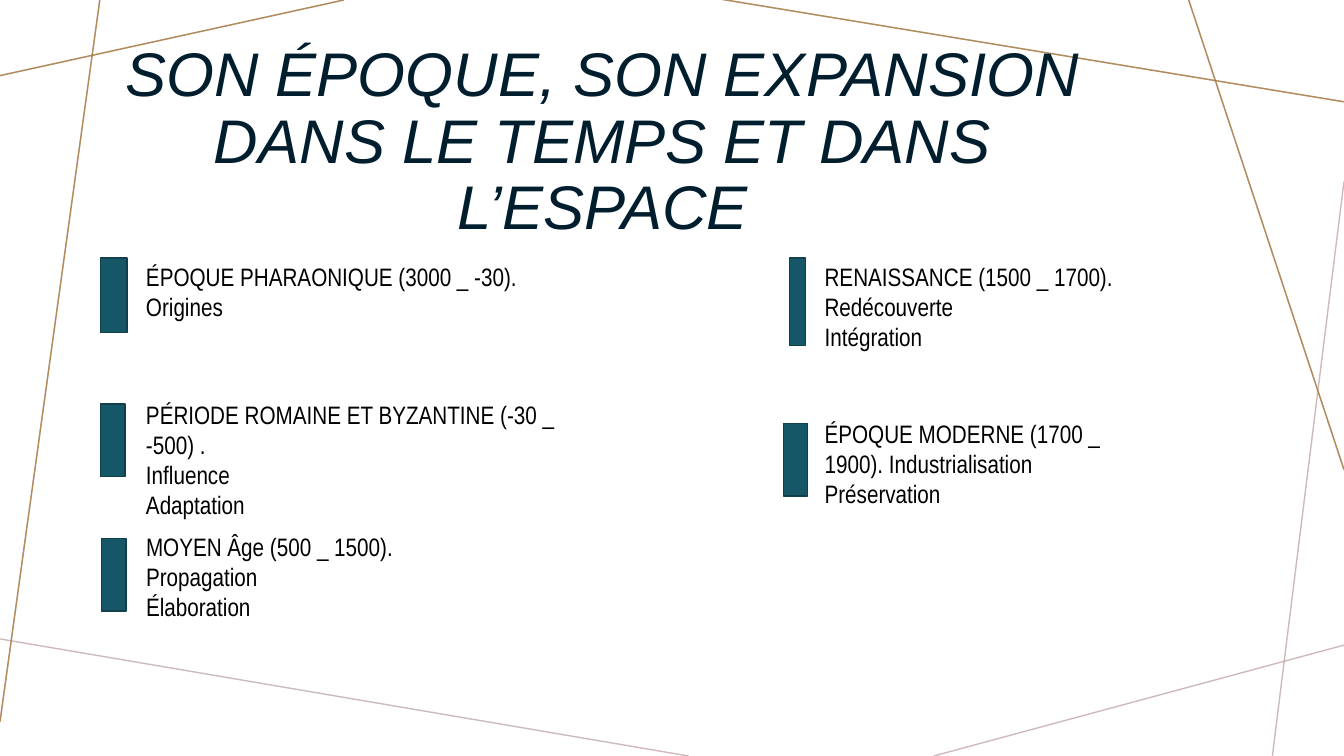
from pptx import Presentation
from pptx.dml.color import RGBColor
from pptx.enum.shapes import MSO_CONNECTOR as CONN, MSO_SHAPE as SHAPE
from pptx.enum.text import MSO_ANCHOR as ANCHOR, MSO_AUTO_SIZE as AUTO, PP_ALIGN as ALIGN
from pptx.oxml.ns import qn
from pptx.util import Emu, Pt
from lxml.etree import SubElement

PX = 9144
MAUVE, GOLD, NAVY, TEAL, TEAL_EDGE, BLACK = (
    "BA9CA0", "A57931", "001E2E", "155767", "10404C", "000000")

GOLD_RAYS = [(341, 0, 0, 75), (99, 0, 0, 716),
             (1333, 466, 1179, 0), (1333, 101, 714, -1)]
MAUVE_RAYS = [(683, 750, -5, 633), (1333, 640, 926, 750), (1333, 180, 1262, 750)]

PERIODS = [
    ((135, 254, 434, 71), (100, 256, 26, 74),
     ["ÉPOQUE PHARAONIQUE (3000 _ -30).", "Origines"]),
    ((135, 391, 466, 131), (100, 401, 24, 72),
     ["PÉRIODE ROMAINE ET BYZANTINE (-30 _ -500) .", "Influence", "Adaptation"]),
    ((135, 522, 411, 131), (101, 534, 24, 72),
     ["MOYEN Âge (500 _ 1500).", "Propagation", "Élaboration"]),
    ((808, 254, 308, 101), (783, 256, 16, 87),
     ["RENAISSANCE (1500 _ 1700).", "Redécouverte", "Intégration"]),
    ((808, 410, 335, 101), (777, 420, 24, 72),
     ["ÉPOQUE MODERNE (1700 _ 1900). Industrialisation", "Préservation"]),
]


def px(*lengths):
    """Turn pixel lengths into EMU."""
    return [Emu(n * PX) for n in lengths]


def rgb(color):
    """Turn a hex string into a colour."""
    return RGBColor.from_string(color)


def add_text(s, box, lines, size=18, font="Arial Narrow", color=BLACK, italic=False,
             align=ALIGN.LEFT, anchor=ANCHOR.TOP, spacing=1.0, auto=AUTO.NONE):
    """Write one paragraph per line in a wrapped text box."""
    tf = s.shapes.add_textbox(*px(*box)).text_frame
    tf.word_wrap, tf.auto_size, tf.vertical_anchor = True, auto, anchor
    for i, line in enumerate(lines):
        p = tf.paragraphs[0] if i == 0 else tf.add_paragraph()
        p.alignment, p.line_spacing = align, spacing
        r = p.add_run()
        r.text = line
        r.font.name, r.font.size, r.font.italic = font, Pt(size), italic
        r.font.color.rgb = rgb(color)


def add_rays(s, rays, color):
    """Draw thin translucent lines across the background."""
    for ray in rays:
        c = s.shapes.add_connector(CONN.STRAIGHT, *px(*ray))
        c.line.width = Pt(1)
        c.line.color.rgb = rgb(color)
        for fill in c.line._ln.iter(qn("a:srgbClr")):
            SubElement(fill, qn("a:alpha"), val="70000")
        SubElement(c._element.spPr, qn("a:effectLst"))


def add_marker(s, box):
    """Draw the teal bar beside a period."""
    sp = s.shapes.add_shape(SHAPE.RECTANGLE, *px(*box))
    sp.shadow.inherit = False
    sp.fill.solid()
    sp.fill.fore_color.rgb = rgb(TEAL)
    sp.line.color.rgb = rgb(TEAL_EDGE)
    sp.line.width = Pt(1)


def add_period(s, box, marker, lines):
    """Place a period's text and its marker."""
    add_text(s, box, lines, auto=AUTO.SHAPE_TO_FIT_TEXT)
    add_marker(s, marker)


def main():
    """Build the timeline slide."""
    prs = Presentation()
    prs.slide_width, prs.slide_height = px(1333, 750)
    s = prs.slides.add_slide(prs.slide_layouts[6])
    add_rays(s, GOLD_RAYS + MAUVE_RAYS, MAUVE)
    add_rays(s, GOLD_RAYS, GOLD)
    add_text(s, (98, -122, 1000, 368),
             ["SON ÉPOQUE, SON EXPANSION DANS LE TEMPS ET DANS L’ESPACE"],
             size=44, font="Arial", color=NAVY, italic=True,
             align=ALIGN.CENTER, anchor=ANCHOR.BOTTOM, spacing=0.9)
    for period in PERIODS:
        add_period(s, *period)
    prs.save("out.pptx")


if __name__ == "__main__":
    main()
